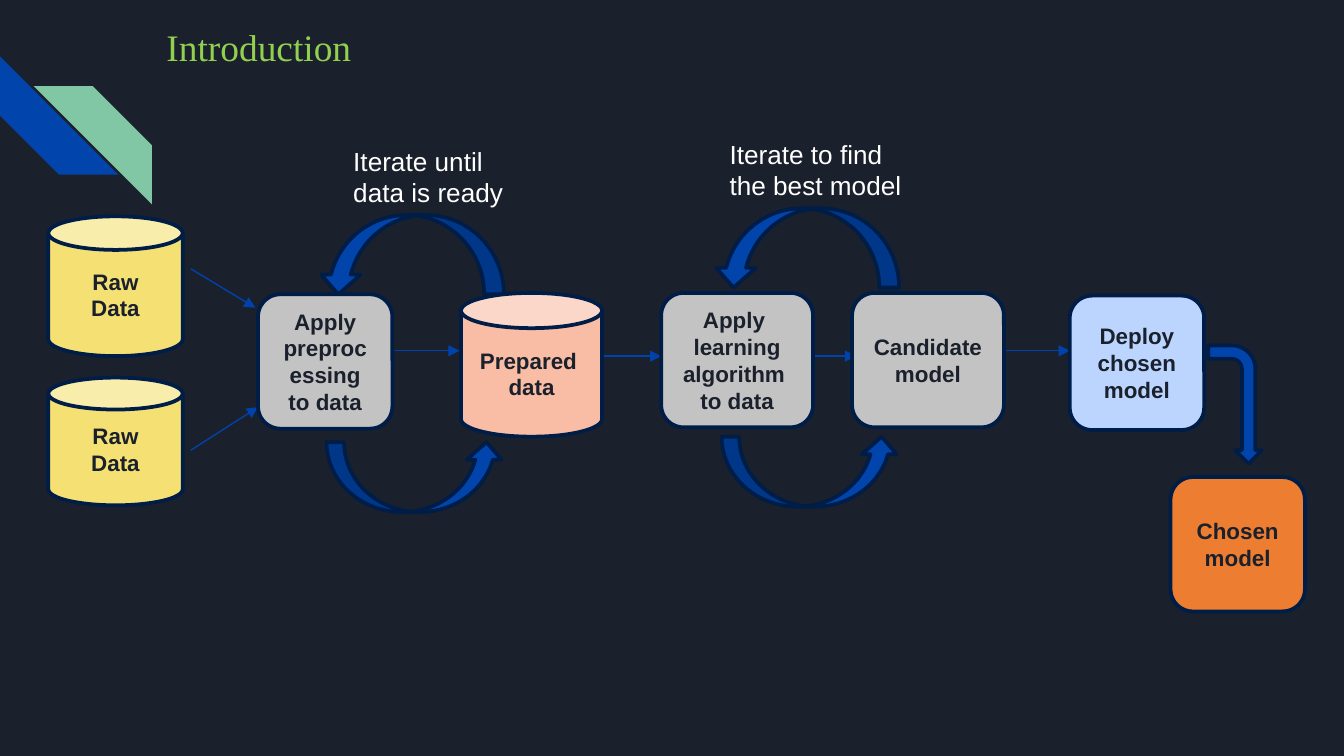
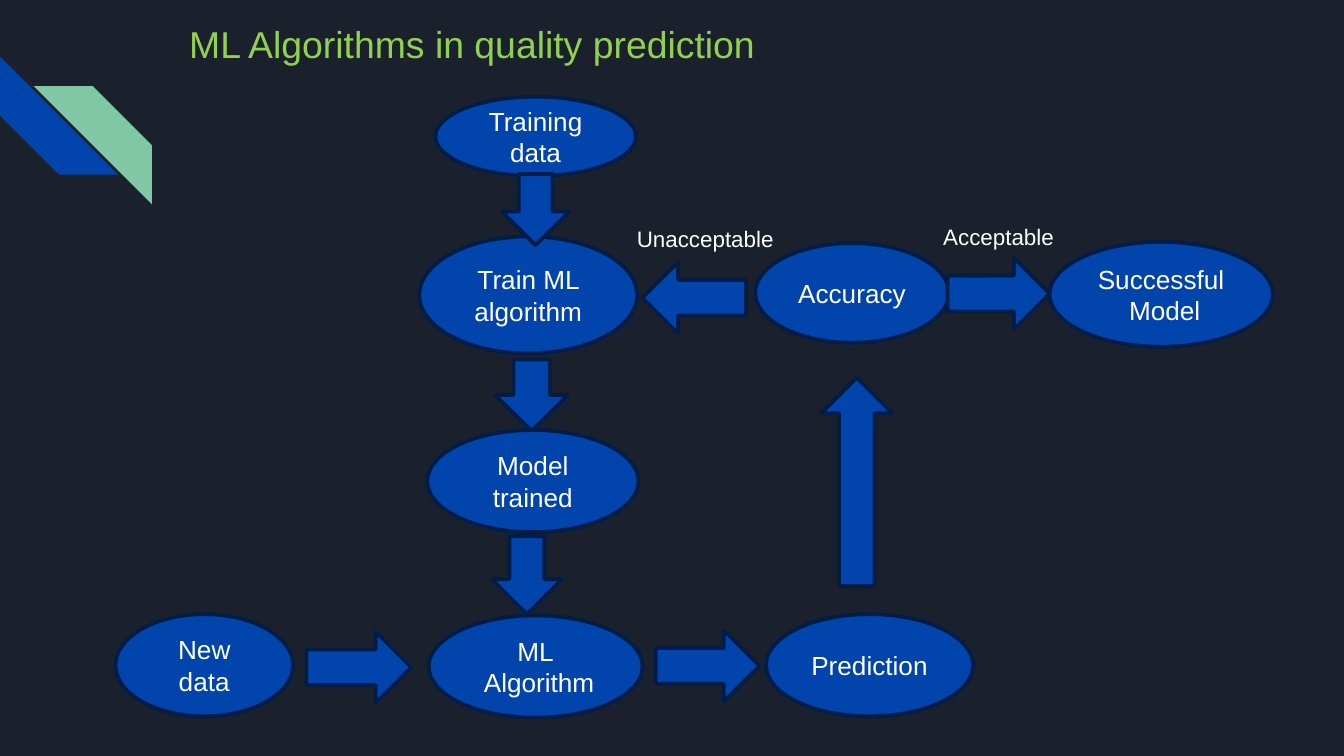
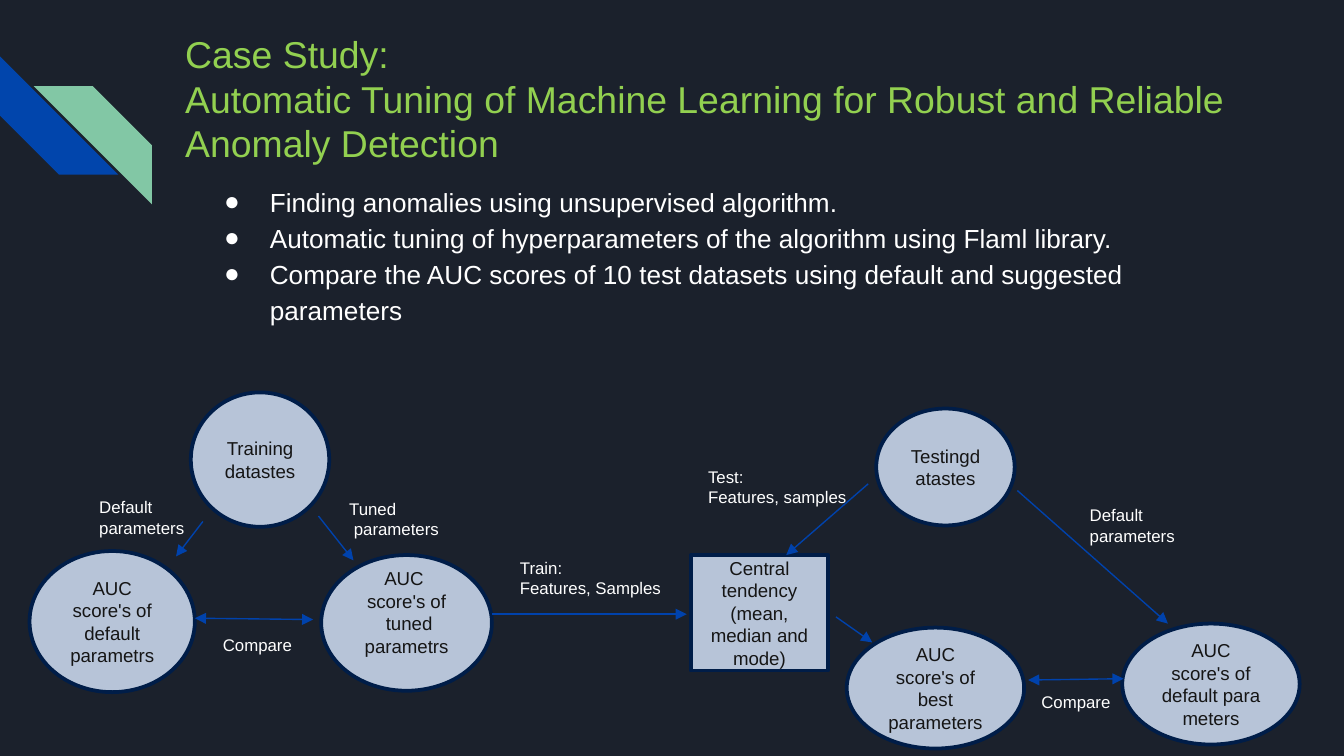
from dataclasses import dataclass
from typing import NamedTuple, Optional

from lxml.etree import SubElement
from pptx import Presentation
from pptx.dml.color import RGBColor
from pptx.enum.shapes import MSO_CONNECTOR, MSO_SHAPE
from pptx.enum.text import MSO_ANCHOR, MSO_AUTO_SIZE, PP_ALIGN
from pptx.oxml.ns import qn
from pptx.slide import Slide
from pptx.shapes.autoshape import Shape
from pptx.text.text import TextFrame
from pptx.util import Inches, Pt

NAVY, BLUE, MINT = "1B212C", "0145AC", "82C7A5"
OUTLINE, ARROW_BLUE = "001D48", "0042AC"
LIME, WHITE, INK = "92D050", "FFFFFF", "151515"
YELLOW, PEACH, GREY = "F5E173", "F9BDA5", "C3C3C3"
PALE_BLUE, ORANGE, STEEL = "BBD5FF", "ED7D31", "B7C4D8"
HARD_SPACE = chr(160)


class TextStyle(NamedTuple):
    size: float
    color: str
    bold: bool = False
    font: str = "Arial"
    align: PP_ALIGN = PP_ALIGN.LEFT
    spacing: Optional[float] = None


TITLE = TextStyle(20, LIME)
BULLET = TextStyle(14, WHITE, spacing=1.15)
STAGE = TextStyle(12, NAVY, bold=True, align=PP_ALIGN.CENTER)
STEP = TextStyle(14, WHITE, align=PP_ALIGN.CENTER)
SCORE = TextStyle(10, INK, align=PP_ALIGN.CENTER)


class Box(NamedTuple):
    left: float
    top: float
    width: float
    height: float


@dataclass
class Node:
    box: Box
    text: str
    kind: MSO_SHAPE
    fill: str
    bottom_inset: float = 0.05


@dataclass
class BlockArrow:
    box: Box
    kind: MSO_SHAPE = MSO_SHAPE.RIGHT_ARROW
    rotation: int = 0


@dataclass
class Label:
    box: Box
    text: str


@dataclass
class Link:
    start: tuple[float, float]
    end: tuple[float, float]
    both_ways: bool = False


def rgb(color: str) -> RGBColor:
    return RGBColor.from_string(color)


def write(frame: TextFrame, text: str, style: TextStyle,
          side: float = 0.1, top: float = 0.05, bottom: float = 0.05) -> None:
    """Fill a frame with styled text, where ~ stands for a hard space."""
    frame.word_wrap = True
    frame.margin_left = frame.margin_right = Inches(side)
    frame.margin_top, frame.margin_bottom = Inches(top), Inches(bottom)
    frame.text = text.replace("~", HARD_SPACE)
    for paragraph in frame.paragraphs:
        paragraph.alignment = style.align
        if style.spacing:
            paragraph.line_spacing = style.spacing
        for run in paragraph.runs:
            run.font.name = style.font
            run.font.size = Pt(style.size)
            run.font.bold = style.bold
            run.font.color.rgb = rgb(style.color)


def add_filled(slide: Slide, kind: MSO_SHAPE, box: Box, fill: str,
               rotation: int = 0, outlined: bool = True) -> Shape:
    shape = slide.shapes.add_shape(kind, *map(Inches, box))
    shape.shadow.inherit = False
    shape.rotation = rotation
    shape.fill.solid()
    shape.fill.fore_color.rgb = rgb(fill)
    if outlined:
        shape.line.color.rgb = rgb(OUTLINE)
        shape.line.width = Pt(2)
    else:
        shape.line.fill.background()
    return shape


def add_node(slide: Slide, node: Node, style: TextStyle) -> None:
    shape = add_filled(slide, node.kind, node.box, node.fill)
    shape.text_frame.vertical_anchor = MSO_ANCHOR.MIDDLE
    write(shape.text_frame, node.text, style, bottom=node.bottom_inset)


def add_block_arrow(slide: Slide, arrow: BlockArrow) -> None:
    add_filled(slide, arrow.kind, arrow.box, BLUE, arrow.rotation)


def add_text(slide: Slide, box: Box, text: str, style: TextStyle) -> TextFrame:
    """Add a text box with the wider insets of titles and body text."""
    frame = slide.shapes.add_textbox(*map(Inches, box)).text_frame
    write(frame, text, style, top=0.1, bottom=0.1)
    return frame


def add_label(slide: Slide, label: Label, size: float) -> None:
    frame = slide.shapes.add_textbox(*map(Inches, label.box)).text_frame
    write(frame, label.text, TextStyle(size, WHITE))
    frame.auto_size = MSO_AUTO_SIZE.SHAPE_TO_FIT_TEXT


def add_link(slide: Slide, link: Link) -> None:
    connector = slide.shapes.add_connector(
        MSO_CONNECTOR.STRAIGHT, *map(Inches, link.start + link.end))
    connector.line.color.rgb = rgb(ARROW_BLUE)
    connector.line.width = Pt(0.75)
    properties = connector._element.spPr
    outline = properties.find(qn("a:ln"))
    if link.both_ways:
        SubElement(outline, qn("a:headEnd"), type="triangle")
    SubElement(outline, qn("a:tailEnd"), type="triangle")
    SubElement(properties, qn("a:effectLst"))


def add_bullets(frame: TextFrame) -> None:
    for paragraph in frame.paragraphs:
        properties = paragraph._p.get_or_add_pPr()
        properties.set("marL", str(Inches(0.5)))
        properties.set("indent", str(Inches(-0.34)))
        color = SubElement(properties, qn("a:buClr"))
        SubElement(color, qn("a:srgbClr"), val=WHITE)
        SubElement(properties, qn("a:buFont"), typeface="Arial")
        SubElement(properties, qn("a:buChar"), char="●")


def start_slide(deck: Presentation, title: str, box: Box,
                style: TextStyle = TITLE) -> Slide:
    """Add a slide with the dark background, corner stripes and title."""
    slide = deck.slides.add_slide(deck.slide_layouts[6])
    slide.background.fill.solid()
    slide.background.fill.fore_color.rgb = rgb(NAVY)
    for stripe, fill, rotation in ((Box(0, 0.42, 0.88, 0.88), BLUE, 270),
                                   (Box(0.25, 0.64, 0.88, 0.88), MINT, 90)):
        add_filled(slide, MSO_SHAPE.DIAGONAL_STRIPE, stripe, fill, rotation,
                   outlined=False)
    add_text(slide, box, title, style)
    return slide


def build_introduction(deck: Presentation) -> None:
    slide = start_slide(deck, "Introduction", Box(1.14, 0, 8.4, 0.84),
                        TITLE._replace(font="Times New Roman", spacing=1.25))
    can, rounded = MSO_SHAPE.CAN, MSO_SHAPE.ROUNDED_RECTANGLE
    for link in (
        Link((1.42, 2), (1.9, 2.29)),
        Link((1.42, 3.35), (1.92, 3.03)),
        Link((2.93, 2.61), (3.42, 2.61)),
        Link((4.42, 2.65), (4.92, 2.65)),
        Link((6.05, 2.65), (6.37, 2.65)),
        Link((7.47, 2.61), (7.96, 2.61)),
    ):
        add_link(slide, link)

    curve = MSO_SHAPE.CURVED_UP_ARROW
    for loop_left, back_top, forth_top in ((2.37, 1.6, 3.29), (5.31, 1.55, 3.25)):
        add_block_arrow(slide, BlockArrow(
            Box(loop_left, back_top, 1.38, 0.59), curve, 180))
        add_block_arrow(slide, BlockArrow(
            Box(loop_left + 0.06, forth_top, 1.32, 0.52), curve))
    add_block_arrow(slide, BlockArrow(
        Box(8.75, 2.81, 0.88, 0.4), MSO_SHAPE.BENT_ARROW, 90))

    for node in (
        Node(Box(0.36, 1.61, 1, 1.04), "Raw\nData", can, YELLOW),
        Node(Box(0.36, 2.81, 1, 0.95), "Raw\nData", can, YELLOW),
        Node(Box(1.92, 2.19, 1, 1), "Apply preprocessing to data", rounded, GREY),
        Node(Box(3.43, 2.18, 1.05, 1.07), "Prepared~data", can, PEACH),
        Node(Box(4.92, 2.18, 1.13, 1), "Apply~ learning algorithm~to data",
             rounded, GREY),
        Node(Box(6.34, 2.18, 1.13, 1), "Candidate model", rounded, GREY),
        Node(Box(7.96, 2.2, 1, 1), "Deploy chosen model", rounded, PALE_BLUE),
        Node(Box(8.71, 3.55, 1, 1), "Chosen model", rounded, ORANGE),
    ):
        add_node(slide, node, STAGE)

    for label in (
        Label(Box(2.53, 1.03, 1.39, 0.57), "Iterate until data is ready"),
        Label(Box(5.33, 0.98, 1.59, 0.57), "Iterate to find the best model"),
    ):
        add_label(slide, label, 14)


def build_quality_prediction(deck: Presentation) -> None:
    slide = start_slide(deck, "ML Algorithms in quality prediction",
                        Box(1.31, 0.06, 7.7, 1))
    for text, box in (
        ("New data", Box(0.86, 4.57, 1.32, 0.76)),
        ("Model trained", Box(3.18, 3.2, 1.57, 0.76)),
        ("Train ML algorithm", Box(3.12, 1.76, 1.62, 0.87)),
        ("ML\n~Algorithm", Box(3.19, 4.58, 1.59, 0.76)),
        ("Training data", Box(3.24, 0.72, 1.49, 0.59)),
        ("Accuracy", Box(5.62, 1.81, 1.44, 0.74)),
        ("Successful~Model", Box(7.81, 1.8, 1.66, 0.78)),
        ("Prediction", Box(5.7, 4.57, 1.54, 0.76)),
    ):
        add_node(slide, Node(box, text, MSO_SHAPE.FLOWCHART_CONNECTOR, BLUE), STEP)

    for box, rotation in (
        (Box(4.88, 4.69, 0.77, 0.53), 0),
        (Box(2.28, 4.7, 0.78, 0.53), 0),
        (Box(4.78, 1.95, 0.77, 0.53), 180),
        (Box(7.05, 1.92, 0.76, 0.53), 0),
        (Box(3.63, 4.02, 0.58, 0.52), 90),
        (Box(3.69, 2.67, 0.53, 0.54), 90),
        (Box(3.72, 1.31, 0.53, 0.5), 90),
        (Box(5.6, 3.32, 1.55, 0.53), 270),
    ):
        add_block_arrow(slide, BlockArrow(box, rotation=rotation))

    for label in (
        Label(Box(4.64, 1.63, 1.27, 0.3), "Unacceptable"),
        Label(Box(6.92, 1.61, 1.27, 0.3), "Acceptable"),
    ):
        add_label(slide, label, 12)


def build_case_study(deck: Presentation) -> None:
    slide = start_slide(
        deck,
        "Case Study:\vAutomatic Tuning of Machine Learning for Robust and "
        "Reliable Anomaly Detection~",
        Box(1.28, 0.13, 8.39, 1.48))
    findings = (
        "Finding anomalies using unsupervised algorithm.",
        "Automatic~tuning~of hyperparameters of the algorithm using Flaml library.",
        "Compare the AUC scores of 10 test datasets using default and "
        "suggested parameters",
    )
    add_bullets(add_text(slide, Box(1.41, 1.25, 7.7, 3.18),
                         "\n".join(findings), BULLET))

    oval = MSO_SHAPE.OVAL
    for node in (
        Node(Box(1.42, 2.92, 1.03, 1), "Training datastes", oval, STEEL),
        Node(Box(6.52, 3.04, 1.03, 0.87), "Testingdatastes", oval, STEEL),
        Node(Box(2.39, 4.13, 1.27, 1.01),
             "AUC~\nscore's~of\n~tuned\nparametrs", oval, STEEL,
             bottom_inset=0.21),
        Node(Box(0.22, 4.1, 1.23, 1.05), "AUC score's of default parametrs",
             oval, STEEL),
        Node(Box(6.3, 4.67, 1.32, 0.9), "AUC score's of best parameters",
             oval, STEEL),
        Node(Box(5.14, 4.13, 1.02, 0.86),
             "Central tendency (mean, median and mode)",
             MSO_SHAPE.RECTANGLE, STEEL),
        Node(Box(8.35, 4.64, 1.32, 0.9), "AUC score's of default~parameters",
             oval, STEEL),
    ):
        add_node(slide, node, SCORE)

    for link in (
        Link((2.37, 3.84), (2.63, 4.17)),
        Link((1.51, 3.88), (1.31, 4.14)),
        Link((3.66, 4.57), (5.11, 4.57)),
        Link((6.46, 3.6), (5.85, 4.13)),
        Link((7.57, 3.65), (8.69, 4.64)),
        Link((6.22, 4.59), (6.49, 4.78)),
        Link((1.45, 4.6), (2.33, 4.61), both_ways=True),
        Link((7.65, 5.06), (8.36, 5.05), both_ways=True),
    ):
        add_link(slide, link)

    for label in (
        Label(Box(0.64, 3.65, 1.1, 0.4), "Default parameters"),
        Label(Box(3.77, 4.1, 1.26, 0.4), "Train:\nFeatures, Samples"),
        Label(Box(2.5, 3.66, 1.1, 0.4), "Tuned\n~parameters"),
        Label(Box(8.01, 3.71, 1.1, 0.4), "Default parameters"),
        Label(Box(5.17, 3.42, 1.31, 0.4), "Test:\nFeatures, samples~"),
        Label(Box(1.56, 4.67, 1.1, 0.25), "Compare"),
        Label(Box(7.65, 5.1, 1.1, 0.25), "Compare"),
    ):
        add_label(slide, label, 9)


def main() -> None:
    deck = Presentation()
    deck.slide_width = Inches(10)
    deck.slide_height = deck.slide_width * 9 // 16
    build_introduction(deck)
    build_quality_prediction(deck)
    build_case_study(deck)
    deck.save("out.pptx")


if __name__ == "__main__":
    main()
